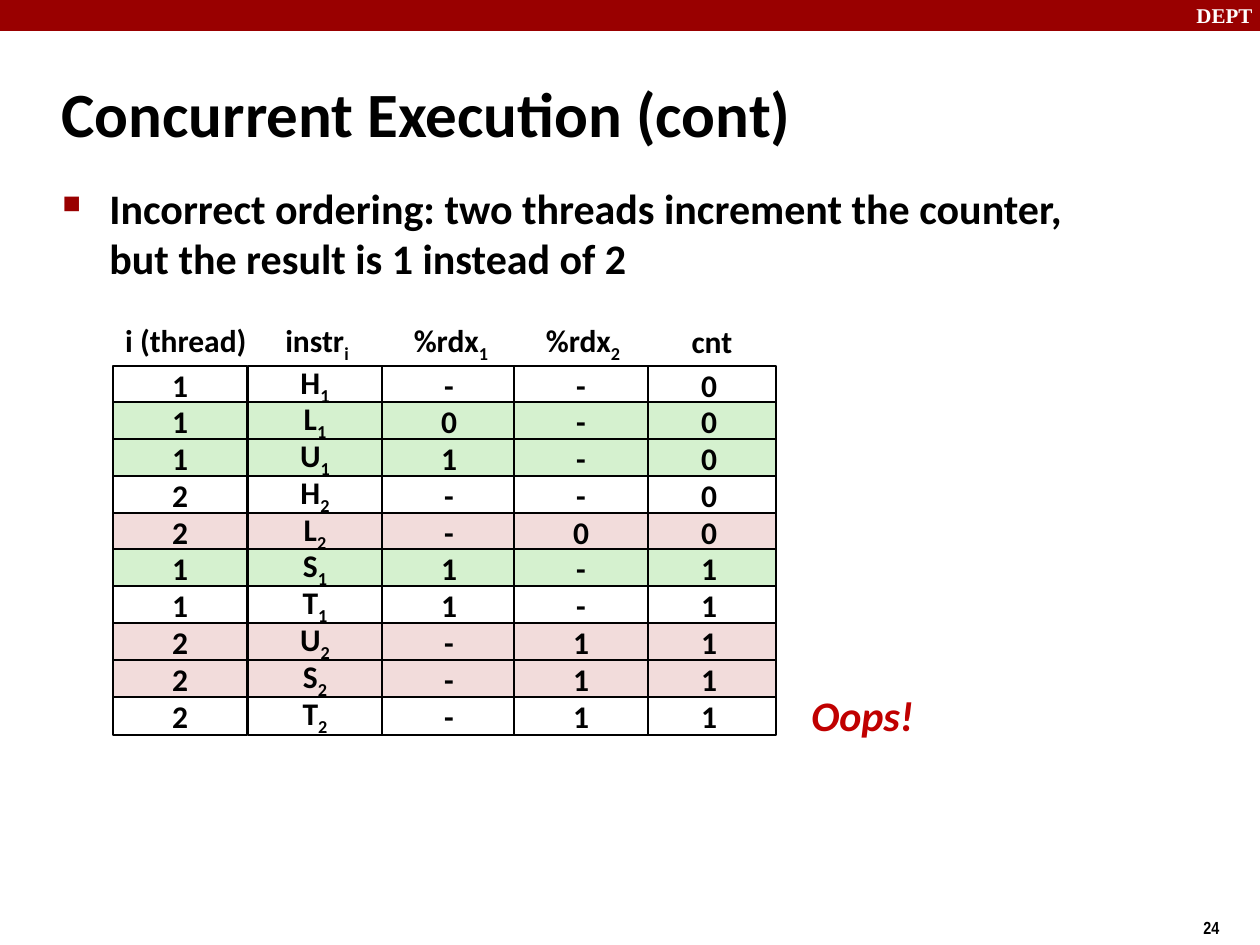
"""Build the slide on an incorrectly ordered concurrent counter increment."""
from dataclasses import dataclass

from lxml import etree
from pptx import Presentation
from pptx.dml.color import RGBColor
from pptx.enum import shapes, text
from pptx.oxml.ns import qn
from pptx.util import Emu, Pt

PX = 914400 / 126
BLACK = RGBColor(0x00, 0x00, 0x00)
WHITE = RGBColor(0xFF, 0xFF, 0xFF)
DARK_RED = RGBColor(0x99, 0x00, 0x00)
OOPS_RED = RGBColor(0xC0, 0x00, 0x00)
THREAD_1 = RGBColor(0xD5, 0xF1, 0xCF)
THREAD_2 = RGBColor(0xF2, 0xDC, 0xDB)
LEFT, CENTER = text.PP_ALIGN.LEFT, text.PP_ALIGN.CENTER
TOP, MIDDLE = text.MSO_ANCHOR.TOP, text.MSO_ANCHOR.MIDDLE

CELL_WIDTH, CELL_HEIGHT = 134, 38
FIRST_ROW, LAST_ROW = 366, 697


@dataclass(frozen=True)
class Box:
    left: int
    top: int
    width: int
    height: int

    def emu(self) -> list[Emu]:
        return [Emu(round(v * PX)) for v in (self.left, self.top, self.width, self.height)]


@dataclass(frozen=True)
class Style:
    size: int = 18
    color: RGBColor = BLACK
    font: str = "Calibri"
    italic: bool = False
    align: text.PP_ALIGN = CENTER
    anchor: text.MSO_ANCHOR = MIDDLE
    wrap: bool = False


@dataclass(frozen=True)
class Column:
    left: int
    label: str
    label_box: Box
    values: list[str]


@dataclass(frozen=True)
class Label:
    words: str
    box: Box
    style: Style


FILLS = [WHITE, THREAD_1, THREAD_1, WHITE, THREAD_2,
         THREAD_1, WHITE, THREAD_2, THREAD_2, WHITE]
COLUMNS = [
    Column(248, "instr_i", Box(270, 315, 94, 55),
           "H_1 L_1 U_1 H_2 L_2 S_1 T_1 U_2 S_2 T_2".split()),
    Column(113, "i (thread)", Box(110, 315, 152, 50), list("1112211222")),
    Column(382, "%rdx_1", Box(398, 315, 106, 55), list("-01--11---")),
    Column(642, "cnt", Box(676, 316, 72, 50), list("0000011111")),
    Column(514, "%rdx_2", Box(530, 315, 106, 55), list("----0--111")),
]
LABELS = [
    Label("DEPT", Box(1184, -4, 84, 38),
          Style(12, WHITE, "Times New Roman", align=LEFT, anchor=TOP, wrap=True)),
    Label("24", Box(1191, 911, 67, 34),
          Style(10, font="Arial Narrow", align=LEFT, anchor=TOP, wrap=True)),
    Label("Oops!", Box(796, 683, 133, 63), Style(24, OOPS_RED, italic=True)),
]


def write(shape, words: str, style: Style) -> None:
    """Put words into a shape; what follows an underscore is a subscript."""
    frame = shape.text_frame
    base, _, subscript = words.partition("_")
    frame.text = base
    frame.word_wrap = style.wrap
    if not style.wrap:
        frame.auto_size = text.MSO_AUTO_SIZE.SHAPE_TO_FIT_TEXT
    frame.vertical_anchor = style.anchor
    paragraph = frame.paragraphs[0]
    paragraph.alignment = style.align
    if subscript:
        lowered = paragraph.add_run()
        lowered.text = subscript
        lowered._r.get_or_add_rPr().set("baseline", "-25000")
    for run in paragraph.runs:
        run.font.name = style.font
        run.font.size = Pt(style.size)
        run.font.bold = True
        run.font.italic = style.italic
        run.font.color.rgb = style.color


def add_label(slide, label: Label) -> object:
    """Add a text box."""
    box = slide.shapes.add_textbox(*label.box.emu())
    write(box, label.words, label.style)
    return box


def add_rectangle(slide, box: Box, fill: RGBColor) -> object:
    """Add a flat rectangle without an outline."""
    rectangle = slide.shapes.add_shape(shapes.MSO_SHAPE.RECTANGLE, *box.emu())
    rectangle.shadow.inherit = False
    rectangle.fill.solid()
    rectangle.fill.fore_color.rgb = fill
    rectangle.line.fill.background()
    return rectangle


def add_column(slide, column: Column) -> None:
    """Add one column of the trace: its heading and its outlined cells."""
    add_label(slide, Label(column.label, column.label_box, Style()))
    last = len(column.values) - 1
    for row, (value, fill) in enumerate(zip(column.values, FILLS)):
        top = FIRST_ROW + (LAST_ROW - FIRST_ROW) * row // last
        cell = add_rectangle(slide, Box(column.left, top, CELL_WIDTH, CELL_HEIGHT), fill)
        cell.line.color.rgb = BLACK
        cell.line.width = Pt(1)
        write(cell, value, Style(wrap=True))


def add_bullet(paragraph) -> None:
    """Give a paragraph a hanging square bullet."""
    properties = paragraph._p.get_or_add_pPr()
    properties.set("marL", str(round(48 * PX)))
    properties.set("indent", str(round(-47 * PX)))
    color = etree.SubElement(properties, qn("a:buClr"))
    etree.SubElement(color, qn("a:srgbClr"), val=str(DARK_RED))
    etree.SubElement(properties, qn("a:buSzPct"), val="60000")
    etree.SubElement(properties, qn("a:buChar"), char="■")


def main() -> None:
    """Build and save the slide."""
    deck = Presentation()
    deck.slide_width, deck.slide_height = Box(0, 0, 1260, 945).emu()[2:]
    slide = deck.slides.add_slide(deck.slide_layouts[5])

    title = slide.shapes.title
    title.left, title.top, title.width, title.height = Box(49, 60, 1046, 105).emu()
    write(title, "Concurrent Execution (cont)", Style(36, align=LEFT, wrap=True))

    add_rectangle(slide, Box(0, 0, 1260, 31), DARK_RED)
    claim = add_label(slide, Label(
        "Incorrect ordering: two threads increment the counter, "
        "but the result is 1 instead of 2",
        Box(49, 176, 1087, 118), Style(24, align=LEFT, anchor=TOP, wrap=True)))
    claim_line = claim.text_frame.paragraphs[0]
    claim_line.space_before = Pt(4.8)
    add_bullet(claim_line)

    for column in COLUMNS:
        add_column(slide, column)
    for label in LABELS:
        add_label(slide, label)
    deck.save("out.pptx")


if __name__ == "__main__":
    main()
